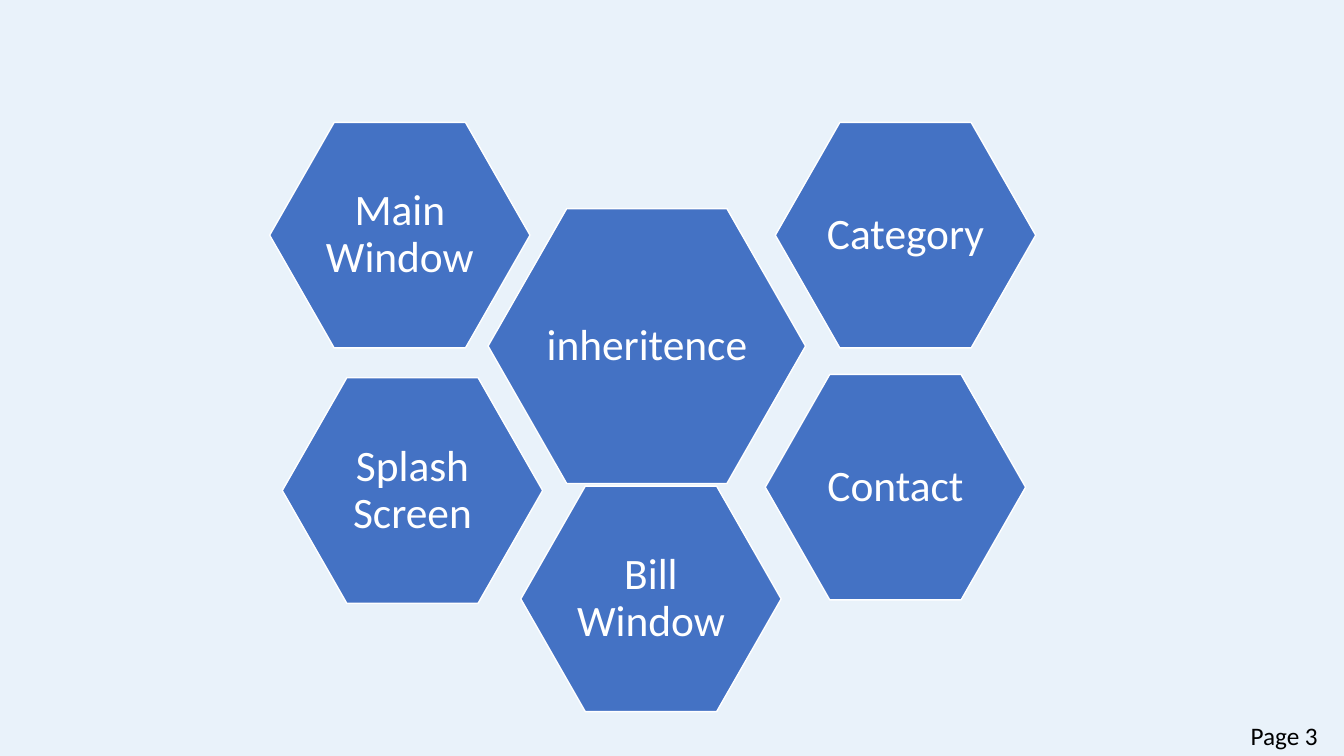
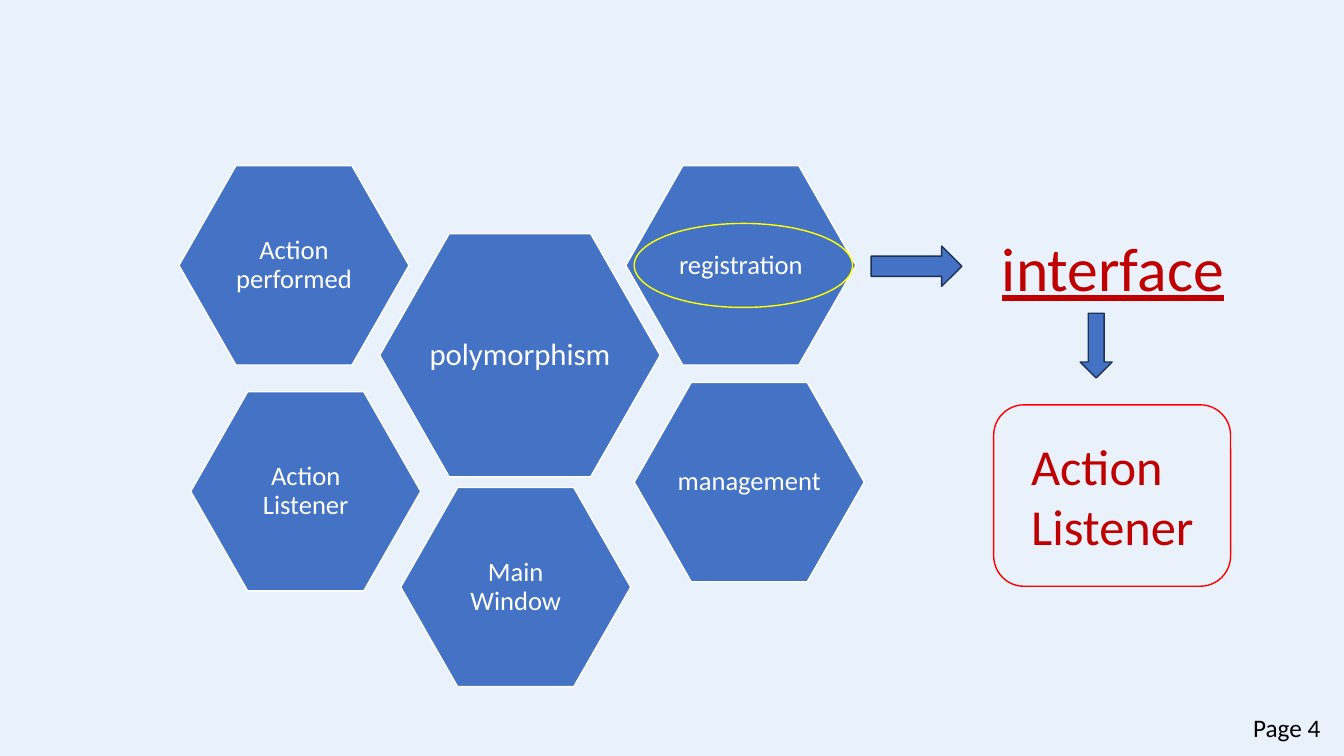
from dataclasses import dataclass

from pptx import Presentation
from pptx.dml.color import RGBColor
from pptx.enum.shapes import MSO_SHAPE
from pptx.enum.text import MSO_ANCHOR, PP_ALIGN
from pptx.util import Inches, Pt

HEXAGON, ELLIPSE = MSO_SHAPE.HEXAGON, MSO_SHAPE.OVAL
ROUNDED = MSO_SHAPE.ROUNDED_RECTANGLE
RIGHT_ARROW, DOWN_ARROW = MSO_SHAPE.RIGHT_ARROW, MSO_SHAPE.DOWN_ARROW
MIDDLE, TOP = MSO_ANCHOR.MIDDLE, MSO_ANCHOR.TOP
CENTER, LEFT = PP_ALIGN.CENTER, PP_ALIGN.LEFT

COLS, ROWS = 16, 9


@dataclass(frozen=True)
class Theme:
    """Colours, type sizes and hexagon proportions."""
    font: str = "Calibri"
    back: str = "E9F2FA"
    blue: str = "4472C4"
    navy: str = "1E3256"
    white: str = "FFFFFF"
    black: str = "000000"
    crimson: str = "C00000"
    red: str = "FF0000"
    yellow: str = "FFFF00"
    page: int = 18
    callout: int = 36
    heading: int = 44
    hex_ratio: float = 0.866
    hex_adjust: float = 0.286
    outer_scale: float = 0.82


class Deck:
    """Draws styled elements on the current slide in grid units."""

    def __init__(self, theme):
        self.theme = theme
        self.prs = Presentation()
        self.prs.slide_width, self.prs.slide_height = Inches(13.33), Inches(7.5)
        fill = self.prs.slide_master.background.fill
        fill.solid()
        fill.fore_color.rgb = RGBColor.from_string(theme.back)
        self.slide = None

    def add_slide(self):
        self.slide = self.prs.slides.add_slide(self.prs.slide_layouts[6])

    def x(self, cols):
        return int(self.prs.slide_width * cols / COLS)

    def y(self, rows):
        return int(self.prs.slide_height * rows / ROWS)

    def box(self, left, top, width, height):
        return self.x(left), self.y(top), self.x(width), self.y(height)

    def set_text(self, sp, text, size, color, align=LEFT, spacing=1.0,
                 underline=None, **frame):
        tf = sp.text_frame
        for name, value in {"word_wrap": True, **frame}.items():
            setattr(tf, name, value)
        for i, line in enumerate(text.split("\n")):
            p = tf.add_paragraph() if i else tf.paragraphs[0]
            p.alignment, p.line_spacing = align, spacing
            r = p.add_run()
            r.text = line
            style = {"name": self.theme.font, "size": Pt(size), "underline": underline}
            for name, value in style.items():
                setattr(r.font, name, value)
            r.font.color.rgb = RGBColor.from_string(color)

    def shape(self, kind, at, line, fill=None):
        sp = self.slide.shapes.add_shape(kind, *self.box(*at))
        sp.shadow.inherit = False
        if fill:
            sp.fill.solid()
            sp.fill.fore_color.rgb = RGBColor.from_string(fill)
        else:
            sp.fill.background()
        sp.line.color.rgb = RGBColor.from_string(line)
        sp.line.width = Pt(1)
        return sp

    def text(self, at, text, size, color, **style):
        sp = self.slide.shapes.add_textbox(*self.box(*at))
        self.set_text(sp, text, size, color, **style)

    def arrow(self, kind, at):
        self.shape(kind, at, self.theme.navy, self.theme.blue)

    def hexagon(self, text, col, row, width, size, inset):
        t = self.theme
        height = width * t.hex_ratio
        at = (col - width / 2, row - height / 2, width, height)
        sp = self.shape(HEXAGON, at, t.white, t.blue)
        sp.adjustments[0] = t.hex_adjust
        margins = {f"margin_{side}": Inches(inset)
                   for side in ("left", "top", "right", "bottom")}
        self.set_text(sp, text, size, t.white, align=CENTER, spacing=0.9,
                      vertical_anchor=MIDDLE, **margins)

    def cluster(self, center, outer, width, sizes, inset):
        self.hexagon(*center, width, sizes[0], inset)
        for cell in outer:
            self.hexagon(*cell, width * self.theme.outer_scale, sizes[1], inset)

    def page(self, number, col, row):
        self.text((col, row, 1.06, 0.48), f"Page {number}", self.theme.page,
                  self.theme.black, word_wrap=False, vertical_anchor=TOP)


def inheritance_slide(deck):
    deck.add_slide()
    deck.cluster(
        ("inheritence", 7.7, 4.12),
        [("Main Window", 4.76, 2.8), ("Category", 10.78, 2.8),
         ("Contact", 10.66, 5.8), ("Bill Window", 7.75, 7.13),
         ("Splash Screen", 4.91, 5.84)],
        width=3.78, sizes=(31, 31), inset=0.04)
    deck.page(3, 14.77, 8.52)


def polymorphism_slide(deck):
    t = deck.theme
    deck.add_slide()
    deck.cluster(
        ("polymorphism", 6.19, 4.23),
        [("Action performed", 3.5, 3.16), ("registration", 8.82, 3.16),
         ("management", 8.92, 5.74), ("Main Window", 6.14, 6.99),
         ("Action Listener", 3.64, 5.85)],
        width=3.34, sizes=(22, 19), inset=0.03)
    deck.shape(ELLIPSE, (7.55, 2.66, 2.6, 1), t.yellow)
    deck.arrow(RIGHT_ARROW, (10.37, 2.93, 1.08, 0.48))
    deck.text((11.38, 2.68, 3.74, 1.01), "interface", t.heading, t.crimson,
              align=CENTER, underline=True)
    deck.arrow(DOWN_ARROW, (12.86, 3.73, 0.38, 0.77))
    sp = deck.shape(ROUNDED, (11.83, 4.82, 2.82, 2.16), t.red)
    deck.set_text(sp, "Action\nListener", t.callout, t.crimson,
                  vertical_anchor=MIDDLE, margin_left=deck.x(0.34))
    deck.page(4, 14.8, 8.42)


def main():
    deck = Deck(Theme())
    inheritance_slide(deck)
    polymorphism_slide(deck)
    deck.prs.save("out.pptx")


if __name__ == "__main__":
    main()
